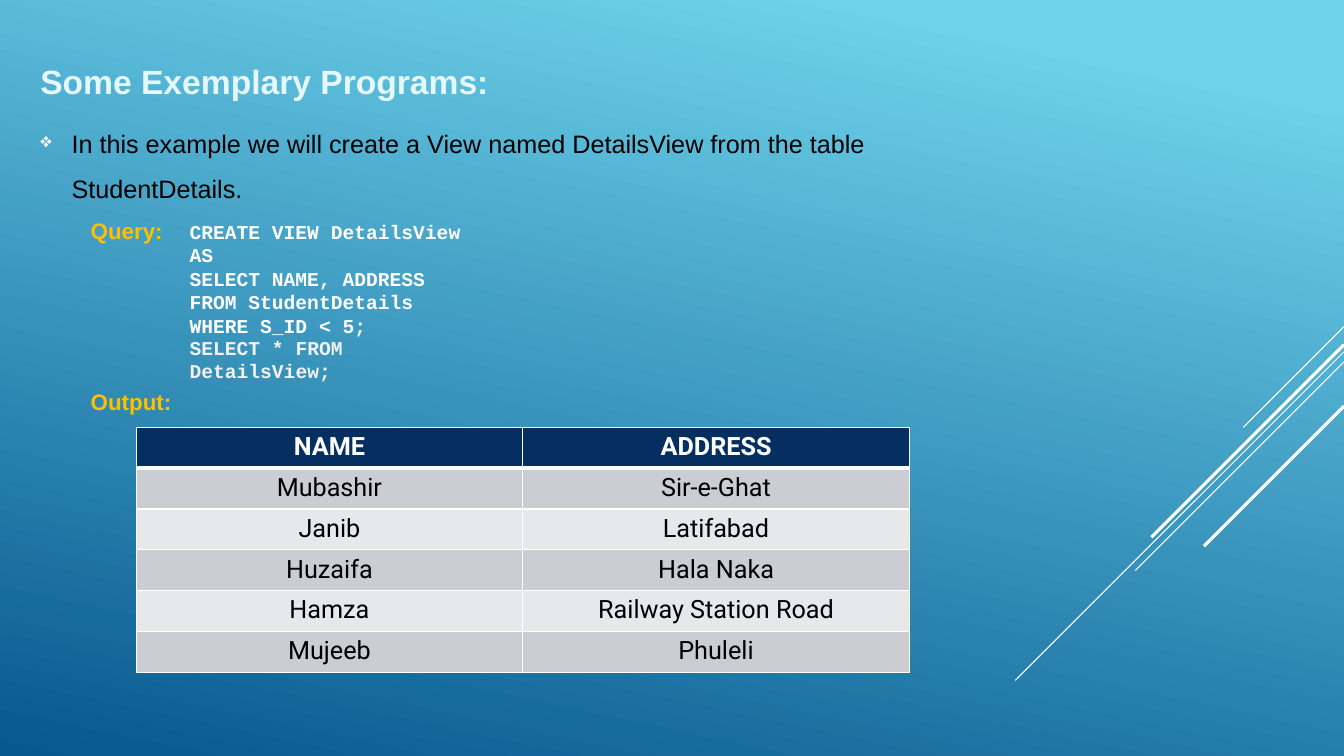
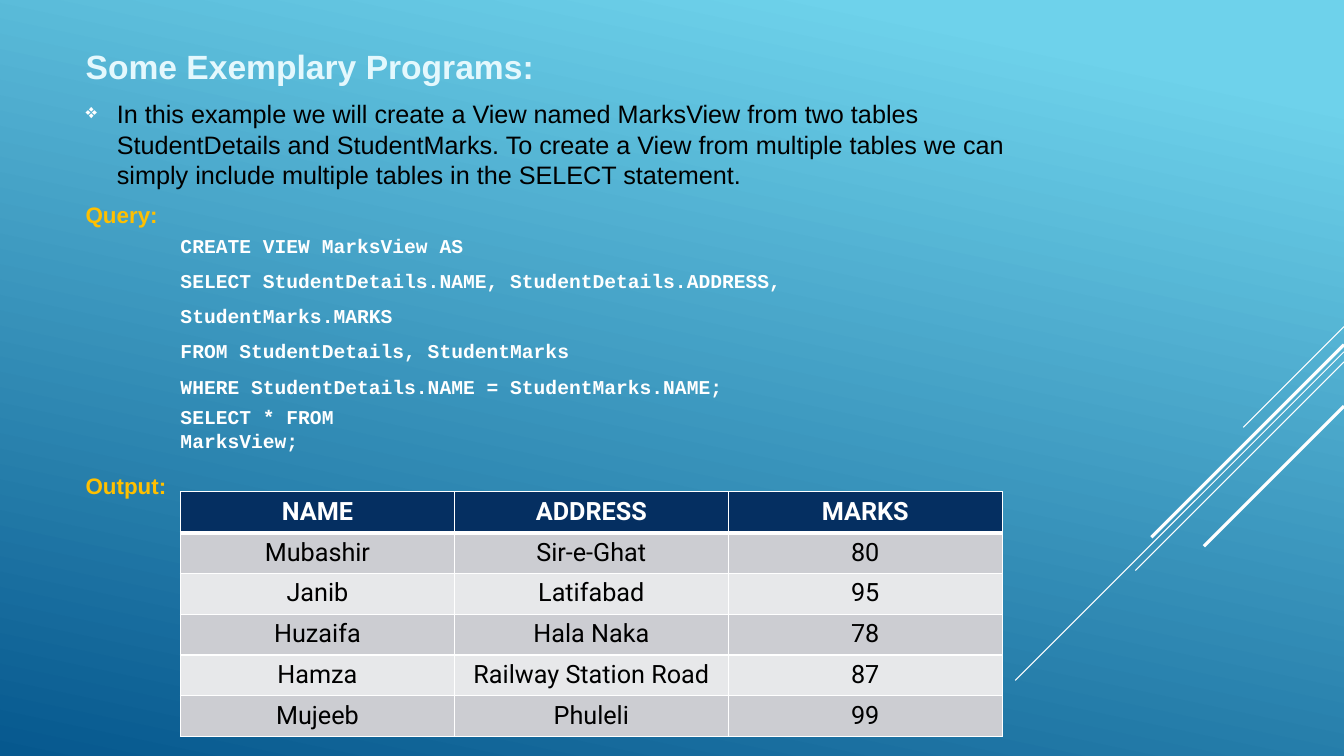
from lxml.etree import SubElement
from pptx import Presentation
from pptx.dml.color import RGBColor
from pptx.enum.shapes import MSO_CONNECTOR
from pptx.enum.text import MSO_ANCHOR, PP_ALIGN
from pptx.oxml.ns import qn
from pptx.util import Inches, Pt

SKY = RGBColor(0x6E, 0xD2, 0xEB)
OCEAN = RGBColor(0x06, 0x58, 0x8E)
ICE = RGBColor(0xE4, 0xF8, 0xFD)
GOLD = RGBColor(0xFF, 0xC0, 0x00)
NAVY = RGBColor(0x05, 0x2F, 0x61)
DARK_BAND = RGBColor(0xCC, 0xCD, 0xD2)
LIGHT_BAND = RGBColor(0xE7, 0xE8, 0xEA)
SOFT_WHITE = RGBColor(0xF2, 0xF2, 0xF2)
WHITE = RGBColor(0xFF, 0xFF, 0xFF)
BLACK = RGBColor(0x00, 0x00, 0x00)

SLIDE_WIDTH, SLIDE_HEIGHT = 13.33, 7.5
ROW_HEIGHT = 0.405
GRADIENT_STOPS = [(0.1, SKY), (1, OCEAN)]
DIAGONALS = [
    (3.24, 1, 0.75),
    (3.49, 3.26, 0.75),
    (3.59, 2.07, 0.75),
    (3.42, 1.91, 2.25),
    (4.03, 1.39, 2.25),
]
TITLE = "Some Exemplary Programs:"
STUDENTS = [
    ("Mubashir", "Sir-e-Ghat", "80"),
    ("Janib", "Latifabad", "95"),
    ("Huzaifa", "Hala Naka", "78"),
    ("Hamza", "Railway Station Road", "87"),
    ("Mujeeb", "Phuleli", "99"),
]

EXAMPLES = [
    {
        "left": 0.4,
        "title_top": 0.6,
        "intro": "In this example we will create a View named DetailsView from the table StudentDetails.",
        "intro_box": (1.12, 9.43, 0.95),
        "intro_spacing": 1.5,
        "label_left": 0.9,
        "labels": [("Query:", 2.15), ("Output:", 3.85)],
        "view": [
            "CREATE VIEW DetailsView AS",
            "SELECT NAME, ADDRESS",
            "FROM StudentDetails",
            "WHERE S_ID < 5;",
        ],
        "view_box": (1.88, 2.18, 3, 1.17),
        "view_spacing": 1,
        "select": "SELECT * FROM DetailsView;",
        "select_box": (1.88, 3.33, 2.88, 0.47),
        "select_color": SOFT_WHITE,
        "header": ("NAME", "ADDRESS"),
        "table_box": (1.35, 4.24, 7.67),
    },
    {
        "left": 0.85,
        "title_top": 0.46,
        "intro": "In this example we will create a View named MarksView from two tables StudentDetails and StudentMarks. To create a View from multiple tables we can simply include multiple tables in the SELECT statement.",
        "intro_box": (0.98, 9.13, 0.95),
        "intro_spacing": 1,
        "label_left": 0.85,
        "labels": [("Query:", 2), ("Output:", 4.68)],
        "view": [
            "CREATE VIEW MarksView AS",
            "SELECT StudentDetails.NAME, StudentDetails.ADDRESS, StudentMarks.MARKS",
            "FROM StudentDetails, StudentMarks",
            "WHERE StudentDetails.NAME = StudentMarks.NAME;",
        ],
        "view_box": (1.79, 2.2, 6.92, 1.75),
        "view_spacing": 1.5,
        "select": "SELECT * FROM MarksView;",
        "select_box": (1.79, 4.02, 2.71, 0.47),
        "select_color": WHITE,
        "header": ("NAME", "ADDRESS", "MARKS"),
        "table_box": (1.79, 4.88, 8.15),
    },
]


def format_run(run, size, color, font="Arial", bold=True):
    run.font.size = Pt(size)
    run.font.name = font
    run.font.bold = bold
    run.font.color.rgb = color


def add_text(slide, box, lines, size, color, font="Arial", bold=True, spacing=1):
    shape = slide.shapes.add_textbox(*map(Inches, box))
    frame = shape.text_frame
    frame.word_wrap = True
    frame.vertical_anchor = MSO_ANCHOR.TOP
    frame.margin_left = frame.margin_right = frame.margin_top = frame.margin_bottom = 0
    frame.text = "\n".join(lines)
    for paragraph in frame.paragraphs:
        paragraph.line_spacing = float(spacing)
        for run in paragraph.runs:
            format_run(run, size, color, font, bold)
    return frame


def add_bullet(paragraph):
    properties = paragraph._p.get_or_add_pPr()
    properties.set("marL", str(Inches(0.31)))
    properties.set("indent", str(-Inches(0.31)))
    bullet_color = SubElement(properties, qn("a:buClr"))
    SubElement(bullet_color, qn("a:srgbClr"), val=str(WHITE))
    SubElement(properties, qn("a:buSzPct"), val="80000")
    SubElement(properties, qn("a:buChar"), char="❖")


def set_background(master):
    fill = master.background.fill
    fill.gradient()
    fill.gradient_angle = 360 - 102
    for stop, (position, color) in zip(fill.gradient_stops, GRADIENT_STOPS):
        stop.position = position
        stop.color.rgb = color


def add_diagonals(slide):
    for top, span, width in DIAGONALS:
        ends = (SLIDE_WIDTH, top, SLIDE_WIDTH - span, top + span)
        line = slide.shapes.add_connector(MSO_CONNECTOR.STRAIGHT, *map(Inches, ends))
        line.line.color.rgb = WHITE
        line.line.width = Pt(width)
        SubElement(line._element.spPr, qn("a:effectLst"))


def set_borders(cell, top, bottom):
    properties = cell._tc.get_or_add_tcPr()
    for side, width in (("L", 1), ("R", 1), ("T", top), ("B", bottom)):
        border = SubElement(properties, qn(f"a:ln{side}"), w=str(Pt(width)))
        fill = SubElement(border, qn("a:solidFill"))
        SubElement(fill, qn("a:srgbClr"), val=str(WHITE))


def add_result_table(slide, header, box):
    left, top, width = box
    columns = len(header)
    rows = [header] + [student[:columns] for student in STUDENTS]
    size = (left, top, width, ROW_HEIGHT * len(rows))
    table = slide.shapes.add_table(len(rows), columns, *map(Inches, size)).table
    for column in table.columns:
        column.width = Inches(width / columns)
    for row_index, values in enumerate(rows):
        is_header = row_index == 0
        band = NAVY if is_header else DARK_BAND if row_index % 2 else LIGHT_BAND
        for column_index, value in enumerate(values):
            cell = table.cell(row_index, column_index)
            set_borders(cell, 3 if row_index == 1 else 1, 3 if is_header else 1)
            cell.fill.solid()
            cell.fill.fore_color.rgb = band
            cell.text_frame.text = value
            paragraph = cell.text_frame.paragraphs[0]
            paragraph.alignment = PP_ALIGN.CENTER
            format_run(paragraph.runs[0], 18, WHITE if is_header else BLACK, "Roboto", is_header)


def build_slide(presentation, example):
    slide = presentation.slides.add_slide(presentation.slide_layouts[6])
    add_diagonals(slide)
    left = example["left"]
    add_text(slide, (left, example["title_top"], 9, 0.4), [TITLE], 24, ICE)
    intro = add_text(slide, (left, *example["intro_box"]), [example["intro"]], 18, BLACK,
                     bold=False, spacing=example["intro_spacing"])
    add_bullet(intro.paragraphs[0])
    for label, top in example["labels"]:
        add_text(slide, (example["label_left"], top, 0.9, 0.27), [label], 16, GOLD)
    add_text(slide, example["view_box"], example["view"], 14, WHITE,
             "Courier New", spacing=example["view_spacing"])
    add_text(slide, example["select_box"], [example["select"]], 14,
             example["select_color"], "Courier New")
    add_result_table(slide, example["header"], example["table_box"])


def main():
    presentation = Presentation()
    presentation.slide_width = Inches(SLIDE_WIDTH)
    presentation.slide_height = Inches(SLIDE_HEIGHT)
    set_background(presentation.slide_master)
    for example in EXAMPLES:
        build_slide(presentation, example)
    presentation.save("out.pptx")


if __name__ == "__main__":
    main()
